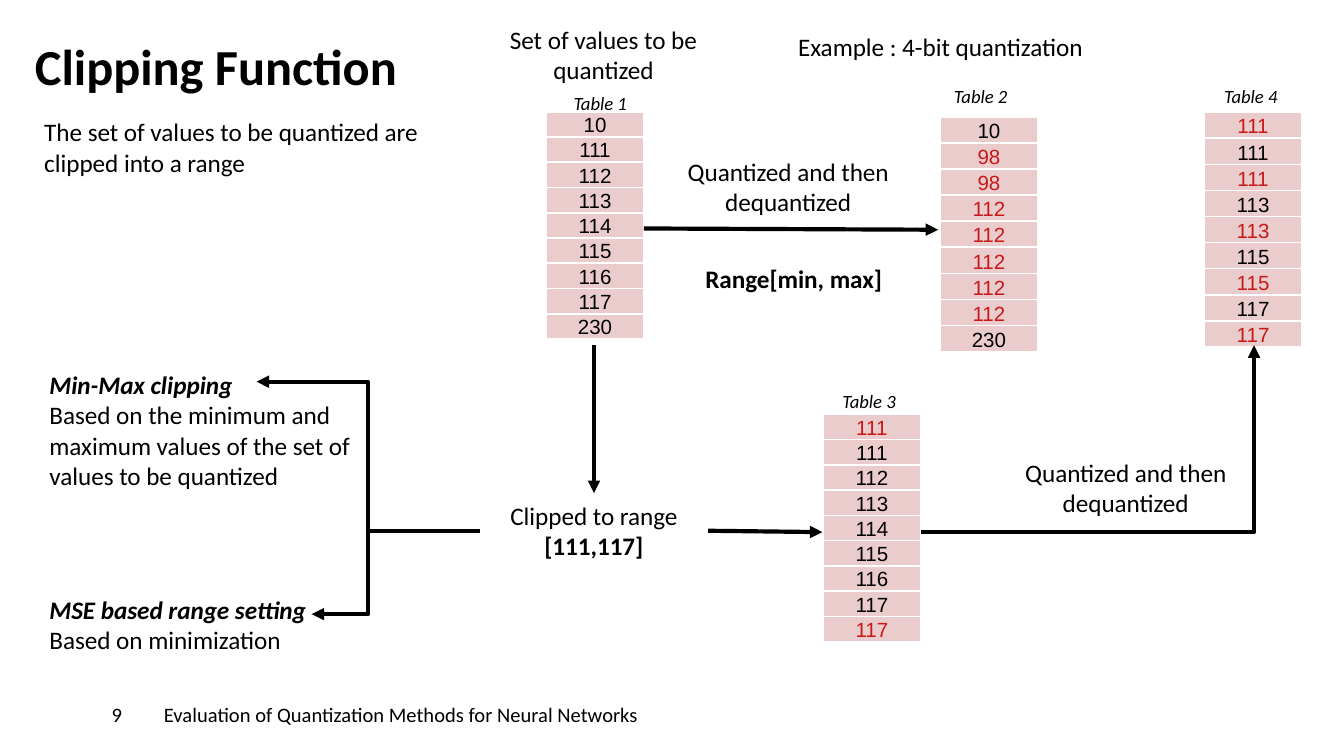
import pptx
import pptx.util
import pptx.dml.color
import pptx.enum.shapes
import pptx.enum.text
import pptx.oxml
import pptx.oxml.ns
import lxml.etree

Pt = pptx.util.Pt
qn = pptx.oxml.ns.qn
ALIGN = pptx.enum.text.PP_ALIGN
ANCHOR = pptx.enum.text.MSO_ANCHOR
CONNECTOR = pptx.enum.shapes.MSO_CONNECTOR
BLACK = pptx.dml.color.RGBColor(0x00, 0x00, 0x00)
WHITE = pptx.dml.color.RGBColor(0xFF, 0xFF, 0xFF)
RED = pptx.dml.color.RGBColor(0xC8, 0x19, 0x19)
PINK = pptx.dml.color.RGBColor(0xEB, 0xCC, 0xCC)

deck = pptx.Presentation()
deck.slide_width, deck.slide_height = Pt(720), Pt(405)
slide = deck.slides.add_slide(deck.slide_layouts[6])


def add_label(box, paragraphs, size=13.5, align=ALIGN.LEFT, anchor=ANCHOR.TOP, inset=(7.2, 3.6)):
    label = slide.shapes.add_textbox(*map(Pt, box))
    frame = label.text_frame
    frame.word_wrap = True
    frame.vertical_anchor = anchor
    frame.margin_left = frame.margin_right = Pt(inset[0])
    frame.margin_top = frame.margin_bottom = Pt(inset[1])
    for index, (text, style) in enumerate(paragraphs):
        paragraph = frame.add_paragraph() if index else frame.paragraphs[0]
        paragraph.text = text
        paragraph.alignment = align
        font = paragraph.font
        font.name, font.size, font.color.rgb = "Calibri", Pt(size), BLACK
        font.bold, font.italic = "b" in style, "i" in style
    return label


def add_arrow(kind, start, end):
    arrow = slide.shapes.add_connector(kind, *map(Pt, start + end))
    arrow.line.color.rgb = BLACK
    arrow.line.width = Pt(2.25)
    lxml.etree.SubElement(arrow.line._get_or_add_ln(), qn("a:tailEnd"), type="triangle")
    lxml.etree.SubElement(arrow._element.spPr, qn("a:effectLst"))
    return arrow


add_label((18.72, 18.72, 594.72, 42.48), [("Clipping Function", "b")], 27, inset=(0, 0))

for left, width, text, indent in [
    (87.84, 554.4, "Evaluation of Quantization Methods for Neural Networks", 0),
    (0, 87.84, "9", 59.76),
]:
    footer = add_label((left, 360, width, 45), [(text, "")], 11, anchor=ANCHOR.MIDDLE, inset=(0, 0))
    footer.text_frame.margin_left = Pt(indent)
    footer.fill.solid()
    footer.fill.fore_color.rgb = WHITE

value_tables = [
    (292.6, 59.9, 12.96, [10, 111, 112, 113, 114, 115, 116, 117, 230], []),
    (440.9, 222, 12.96, [111, 111, 112, 113, 114, 115, 116, 117, 117], [0, 8]),
    (503.6, 62.6, 14, [10, 98, 98, 112, 112, 112, 112, 112, 230], range(1, 8)),
    (645.1, 60.1, 14, [111, 111, 111, 113, 113, 115, 115, 117, 117], range(0, 9, 2)),
]
for left, top, row_height, values, changed_rows in value_tables:
    table = slide.shapes.add_table(
        len(values), 1, Pt(left), Pt(top), Pt(52.4), Pt(row_height * len(values))
    ).table
    table.first_row = table.horz_banding = False
    for index, value in enumerate(values):
        table.rows[index].height = Pt(row_height)
        cell = table.cell(index, 0)
        cell.margin_left = cell.margin_right = Pt(0.5)
        cell.margin_top, cell.margin_bottom = Pt(0.3), Pt(0)
        cell.vertical_anchor = ANCHOR.BOTTOM
        paragraph = cell.text_frame.paragraphs[0]
        paragraph.text = str(value)
        paragraph.alignment = ALIGN.CENTER
        paragraph.font.name, paragraph.font.size = "Arial", Pt(11)
        paragraph.font.color.rgb = RED if index in changed_rows else BLACK
        properties = cell._tc.get_or_add_tcPr()
        for side in ("a:lnL", "a:lnR", "a:lnT", "a:lnB"):
            border = lxml.etree.SubElement(properties, qn(side), w=str(Pt(1)))
            border_fill = lxml.etree.SubElement(border, qn("a:solidFill"))
            lxml.etree.SubElement(border_fill, qn("a:srgbClr"), val=str(WHITE))
        cell.fill.solid()
        cell.fill.fore_color.rgb = PINK

for left, top in [(347, 79.9), (527.8, 241.2)]:
    add_label((left, top, 150.5, 40.3), [("Quantized and then dequantized", "")],
              align=ALIGN.CENTER, anchor=ANCHOR.MIDDLE)

add_label((262.1, 9.4, 122.4, 40.3), [("Set of values to be quantized", "")], align=ALIGN.CENTER)
add_label((420.5, 13, 239.8, 23.8), [("Example : 4-bit quantization", "")])
add_label((370.8, 137.5, 121, 23.8), [("Range[min, max]", "b")])
add_label((16.6, 59, 221.8, 40.3), [("The set of values to be quantized are clipped into a range", "")])
add_label((19.4, 194.4, 178.6, 72.7), [
    ("Min-Max clipping", "bi"),
    ("Based on the minimum and maximum values of the set of values to be quantized", ""),
])
add_label((19.4, 314.6, 178.6, 90), [
    ("MSE based range setting", "bi"),
    ("Based on minimization", ""),
])

for number, left, top in [(1, 300.2, 45.4), (2, 504, 41.8), (4, 648.7, 41.8), (3, 444.2, 205.2)]:
    add_label((left, top, 45.4, 19.4), [(f"Table {number}", "i")], 10)

clipped = add_label((257, 264.2, 122.4, 40.3), [("Clipped to range ", "")],
                    align=ALIGN.CENTER, anchor=ANCHOR.MIDDLE)
clipped_range = clipped.text_frame.paragraphs[0].add_run()
clipped_range.text = "[111,117]"
clipped_range.font.bold = True

add_arrow(CONNECTOR.STRAIGHT, (344.9, 122.4), (502.6, 123.1))
add_arrow(CONNECTOR.STRAIGHT, (318.2, 185), (318.2, 264.2)).end_connect(clipped, 0)
add_arrow(CONNECTOR.STRAIGHT, (379.4, 284.4), (440.6, 285.1)).begin_connect(clipped, 3)

to_table_4 = add_arrow(CONNECTOR.ELBOW, (493.2, 285.1), (671.8, 185))
to_table_4._element.spPr.find(qn("a:prstGeom")).set("prst", "bentConnector2")

for end, bend in [((137.5, 204.5), 50000), ((167, 329), 66300)]:
    to_method = add_arrow(CONNECTOR.ELBOW, (257, 284.4), end)
    to_method.begin_connect(clipped, 1)
    adjustments = to_method._element.spPr.find(qn("a:prstGeom")).find(qn("a:avLst"))
    lxml.etree.SubElement(adjustments, qn("a:gd"), name="adj1", fmla=f"val {bend}")

deck.save("out.pptx")
